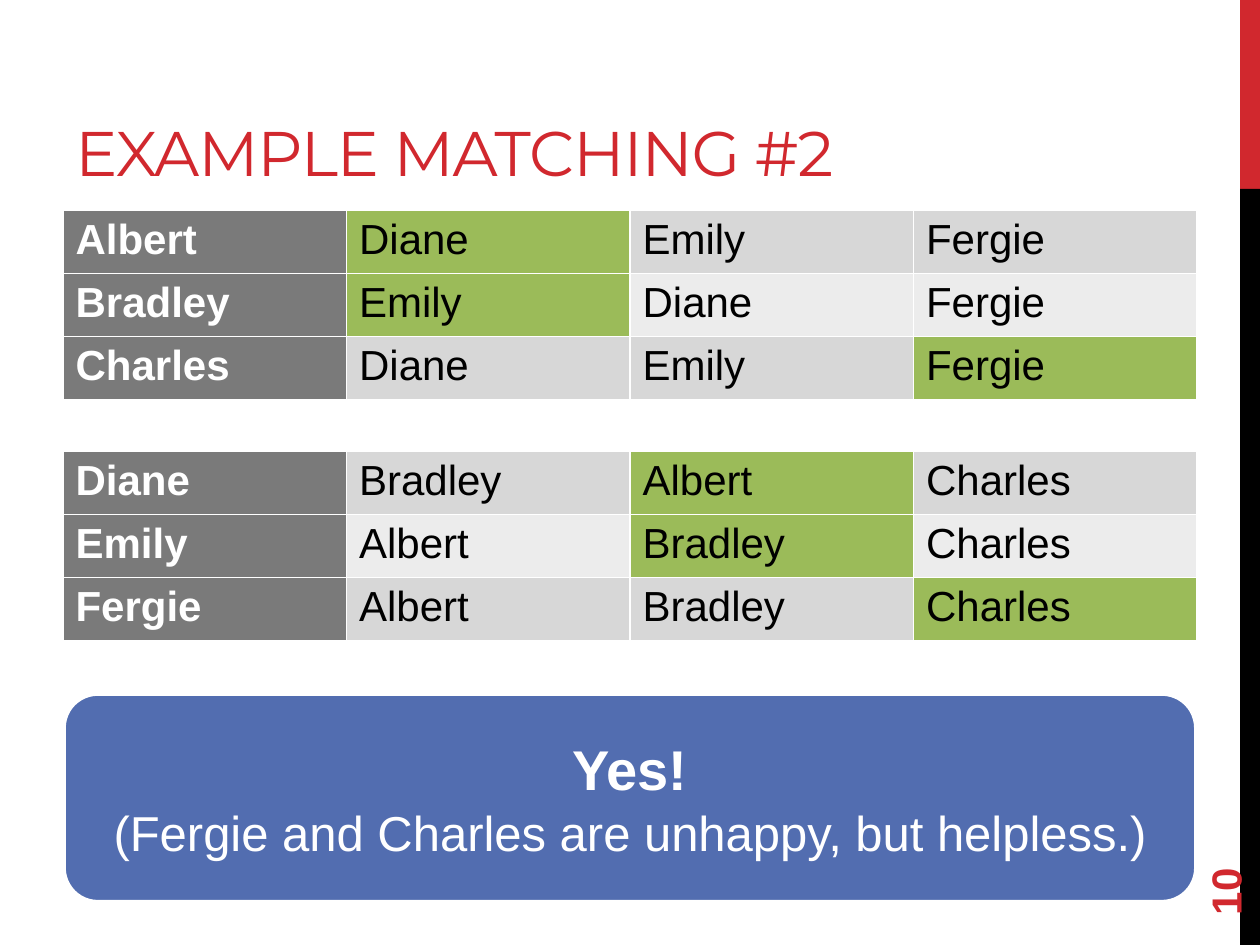
from lxml import etree
from pptx import Presentation
from pptx.dml.color import RGBColor
from pptx.enum.shapes import MSO_SHAPE
from pptx.enum.text import MSO_ANCHOR, PP_ALIGN
from pptx.oxml import parse_xml
from pptx.util import Cm, Pt

RECTANGLE = MSO_SHAPE.RECTANGLE
ROUNDED = MSO_SHAPE.ROUNDED_RECTANGLE
MIDDLE, BOTTOM = MSO_ANCHOR.MIDDLE, MSO_ANCHOR.BOTTOM
CENTER, LEFT = PP_ALIGN.CENTER, PP_ALIGN.LEFT
DRAWING = "http://schemas.openxmlformats.org/drawingml/2006/main"
RED, BLACK, WHITE, BLUE = "D1282E", "000000", "FFFFFF", "526DB0"
HEADER, MATCH = "7A7A7A", "9BBB59"
BANDS = ("D7D7D7", "ECECEC")
MARGIN, CONTENT_WIDTH = 1.27, 22.86

MEN = [
    ("Albert", "Diane", "Emily", "Fergie"),
    ("Bradley", "Emily", "Diane", "Fergie"),
    ("Charles", "Diane", "Emily", "Fergie"),
]
WOMEN = [
    ("Diane", "Bradley", "Albert", "Charles"),
    ("Emily", "Albert", "Bradley", "Charles"),
    ("Fergie", "Albert", "Bradley", "Charles"),
]
PAIRS = {"Albert": "Diane", "Bradley": "Emily", "Charles": "Fergie"}
PARTNERS = PAIRS | {woman: man for man, woman in PAIRS.items()}


def color(value):
    """Turn a hex string into a colour."""
    return RGBColor.from_string(value)


def write(para, text, shade, align=LEFT, **formats):
    """Add one formatted span to a paragraph and return it."""
    para.alignment = align
    span = para.add_run()
    span.text = text
    span.font.color.rgb = color(shade)
    for name, value in ({"name": "Arial", "size": Pt(24)} | formats).items():
        setattr(span.font, name, value)
    return span


def add_text(page, place, text, shade, anchor, **formats):
    """Add a one-line text box and return it with its span."""
    box = page.shapes.add_textbox(*map(Cm, place))
    box.text_frame.word_wrap = True
    box.text_frame.vertical_anchor = anchor
    return box, write(box.text_frame.paragraphs[0], text, shade, **formats)


def add_block(page, kind, place, fill):
    """Add a flat filled shape without an outline."""
    block = page.shapes.add_shape(kind, *map(Cm, place))
    block.shadow.inherit = False
    block.fill.solid()
    block.fill.fore_color.rgb = color(fill)
    block.line.fill.background()
    return block


def add_borders(cell):
    """Draw thin white lines on all four sides of a cell."""
    properties = cell._tc.get_or_add_tcPr()
    for side in ("lnL", "lnR", "lnT", "lnB"):
        line = parse_xml(f'<a:{side} xmlns:a="{DRAWING}" w="{Pt(1)}"/>')
        fill = etree.SubElement(line, f"{{{DRAWING}}}solidFill")
        etree.SubElement(fill, f"{{{DRAWING}}}srgbClr", val=WHITE)
        properties.append(line)


def add_preferences(page, top, rows):
    """Add a table of ranked names with each person's partner marked."""
    place = (MARGIN, top, CONTENT_WIDTH, 3.12)
    table = page.shapes.add_table(len(rows), len(rows[0]), *map(Cm, place)).table
    table.first_row = False
    table.first_col = True
    for row, names in enumerate(rows):
        for column, name in enumerate(names):
            cell = table.cell(row, column)
            is_header = column == 0
            is_match = name == PARTNERS[names[0]]
            fill = HEADER if is_header else MATCH if is_match else BANDS[row % 2]
            add_borders(cell)
            cell.fill.solid()
            cell.fill.fore_color.rgb = color(fill)
            shade = WHITE if is_header else BLACK
            write(cell.text_frame.paragraphs[0], name, shade, bold=is_header)


def add_answer(page):
    """Add the rounded answer panel."""
    panel = add_block(page, ROUNDED, (MARGIN, 13.97, CONTENT_WIDTH, 4.23), BLUE)
    panel.line.color.rgb = color(WHITE)
    panel.line.width = Pt(3.25)
    frame = panel.text_frame
    frame.word_wrap = True
    frame.vertical_anchor = MIDDLE
    write(frame.paragraphs[0], "Yes!", WHITE, CENTER, size=Pt(32), bold=True)
    remark = "(Fergie and Charles are unhappy, but helpless.)"
    write(frame.add_paragraph(), remark, WHITE, CENTER, size=Pt(28), bold=False)


def main():
    """Build and save the slide."""
    deck = Presentation()
    deck.slide_width, deck.slide_height = Cm(25.4), Cm(19.05)
    page = deck.slides.add_slide(deck.slide_layouts[6])
    add_block(page, RECTANGLE, (25, 0, 0.4, 3.81), RED)
    add_block(page, RECTANGLE, (25, 3.81, 0.4, 15.24), BLACK)
    _, title = add_text(page, (MARGIN, 0.76, CONTENT_WIDTH, 3.18),
                        "EXAMPLE MATCHING #2", RED, BOTTOM,
                        name="Montserrat", size=Pt(36))
    title.font._element.set("spc", "-60")
    add_preferences(page, 4.24, MEN)
    add_preferences(page, 9.1, WOMEN)
    add_answer(page)
    number, _ = add_text(page, (22.86, 16.36, 3.66, 1.02), "10", RED, MIDDLE, bold=True)
    number.rotation = 270
    deck.save("out.pptx")


if __name__ == "__main__":
    main()
